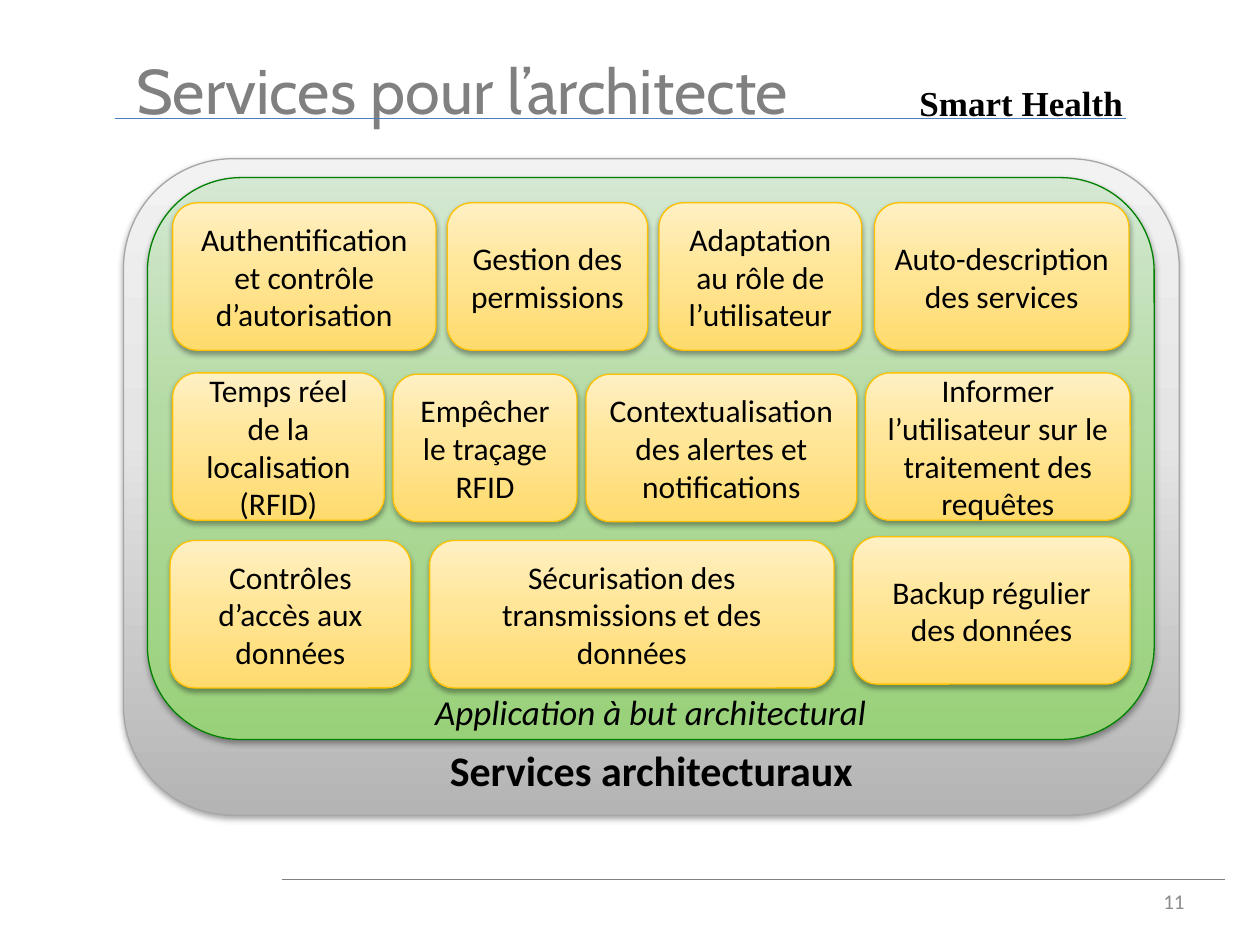
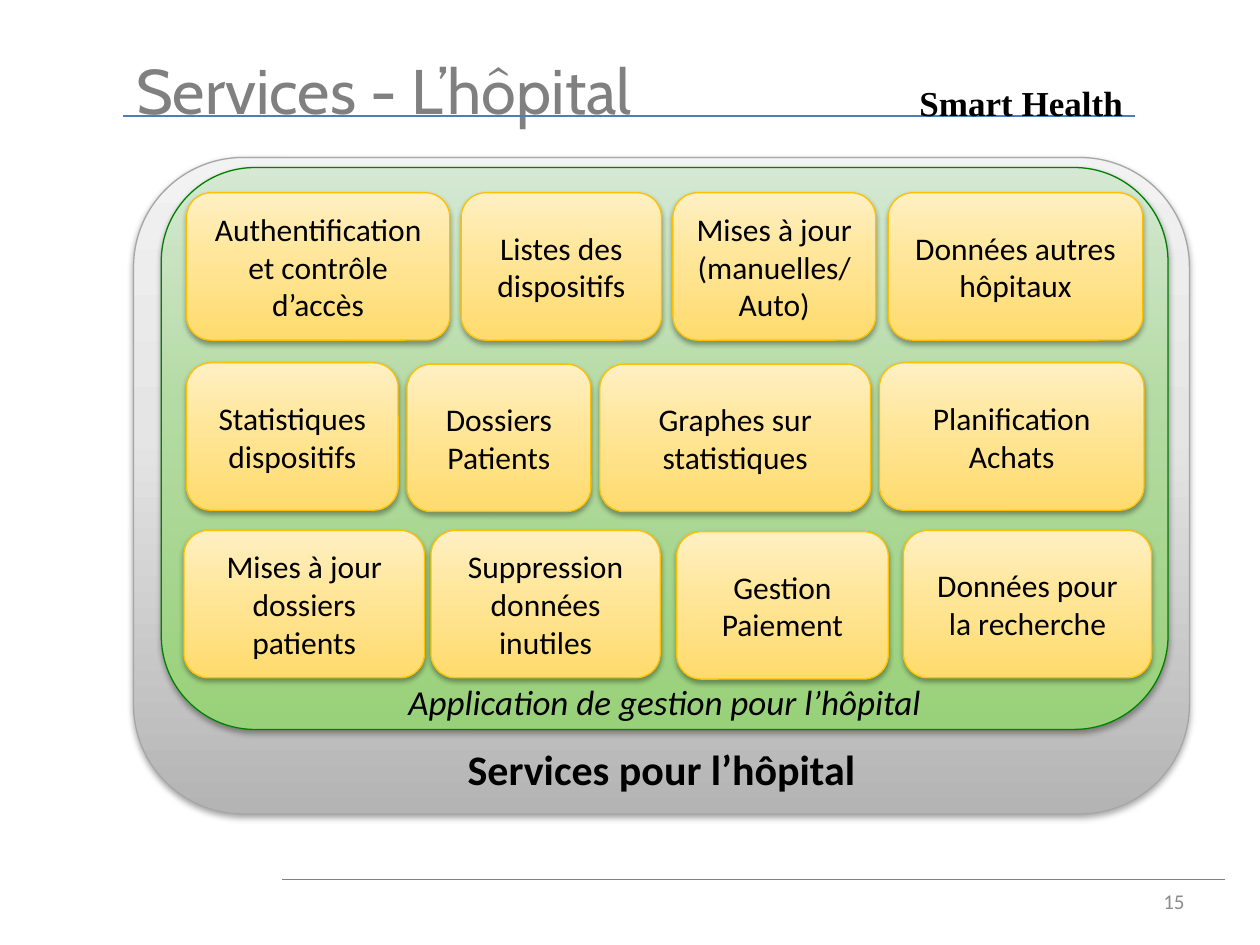
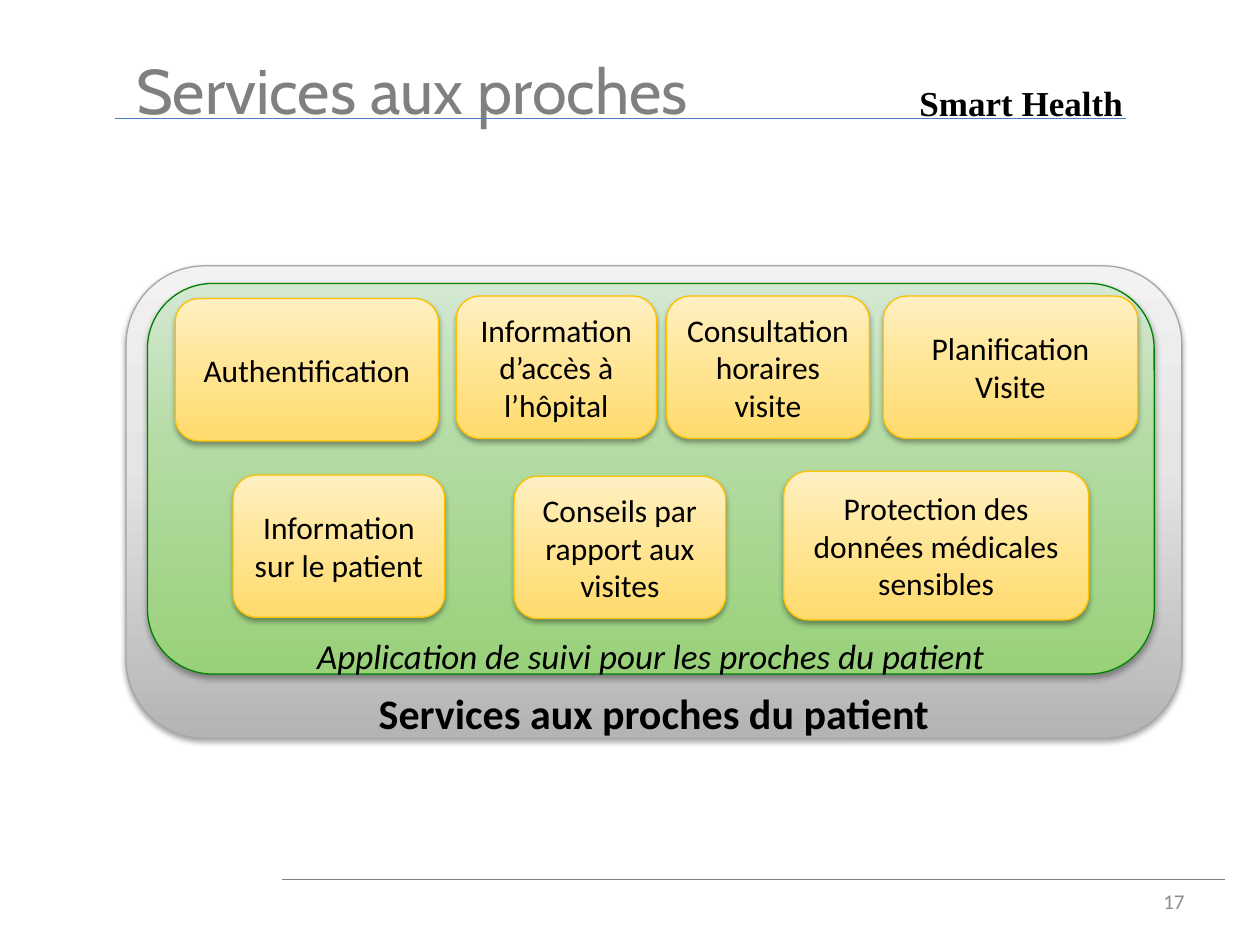
from copy import deepcopy

from lxml import etree
from pptx import Presentation
from pptx.dml.color import RGBColor
from pptx.enum import shapes as es, text as et
from pptx.oxml.ns import qn
from pptx.util import Inches, Pt

HUES = {"title": "808080", "rule": "4B7EBC", "foot": "808080",
        "page": "8C8C8C", "ink": "000000"}
SKINS = {  # gradient stops from top to bottom, then the outline
    "grey": ("F2F2F2", "E5E5E5", "B4B4B4", "A6A6A6"),
    "green": ("D4E8D3", "B4DBA3", "99D17A", "008000"),
    "gold": ("FFF0C4", "FFE69A", "FFDB6D", "FFC000"),
}
STOPS = (0, 0.42, 1)
LEFT, MID, RIGHT = et.PP_ALIGN.LEFT, et.PP_ALIGN.CENTER, et.PP_ALIGN.RIGHT
OUTER_W, INNER_W = 8.38, 7.99

# Card slots inside the green panel: left, top, width, height
CARD_H = 1.17
HIGH = [(0.2, 0.2, 2.09, CARD_H), (2.38, 0.2, 1.59, CARD_H),
        (4.06, 0.2, 1.61, CARD_H), (5.77, 0.2, 2.02, CARD_H)]
CORE = [(0.2, 1.55, 1.68, CARD_H), (1.95, 1.56, 1.46, CARD_H),
        (3.48, 1.56, 2.15, CARD_H), (5.7, 1.55, 2.1, CARD_H)]
THREE = [(0.18, 2.88, 1.91, CARD_H), (2.24, 2.88, 3.21, CARD_H),
         (5.6, 2.85, 2.2, CARD_H)]
FOUR = [(0.18, 2.88, 1.91, CARD_H), (2.14, 2.88, 1.82, CARD_H),
        (4.09, 2.89, 1.68, CARD_H), (5.89, 2.88, 1.97, CARD_H)]
KIN = [(0.22, 0.12, 2.09, 1.13), (2.45, 0.1, 1.59, 1.13),
       (4.12, 0.1, 1.61, 1.13), (5.84, 0.1, 2.02, 1.13),
       (0.68, 1.52, 1.68, 1.13), (2.91, 1.53, 1.68, 1.13),
       (5.05, 1.49, 2.42, 1.18)]

# outer, inner: left, top, height; notes: text, rise above the panel's foot, height
SLIDES = [
    dict(title="Services pour l’architecte", page="11", rule=(0.91, 0.94),
         outer=(0.98, 1.26, 5.21), inner=(1.17, 1.41, 4.46),
         name=("Services architecturaux", 0.61, 0.5),
         app=("Application à but architectural", 0.44, 0.44),
         slots=HIGH + CORE + THREE,
         cards=["Authentification et contrôle d’autorisation",
                "Gestion des permissions",
                "Adaptation au rôle de l’utilisateur",
                "Auto-description des services",
                "Temps réel de la localisation (RFID)",
                "Empêcher le traçage RFID",
                "Contextualisation des alertes et notifications",
                "Informer l’utilisateur sur le traitement des requêtes",
                "Contrôles d’accès aux données",
                "Sécurisation des transmissions et des données",
                "Backup régulier des données"]),
    dict(title="Services - L’hôpital", page="15", rule=(0.98, 0.92),
         outer=(1.06, 1.25, 5.21), inner=(1.28, 1.33, 4.46),
         name=("Services pour l’hôpital", 0.61, 0.5),
         app=("Application de gestion pour l’hôpital", 0.44, 0.44),
         slots=HIGH + CORE + FOUR,
         cards=["Authentification et contrôle d’accès",
                "Listes des dispositifs",
                "Mises à jour\n(manuelles/\nAuto)",
                "Données autres hôpitaux",
                "Statistiques dispositifs",
                "Dossiers Patients",
                "Graphes sur statistiques",
                "Planification Achats",
                "Mises à jour dossiers patients",
                "Suppression données inutiles",
                "Gestion Paiement",
                "Données pour la recherche"]),
    dict(title="Services aux proches", page="17", rule=(0.91, 0.94),
         outer=(1, 2.11, 3.75), inner=(1.17, 2.25, 3.1),
         name=("Services aux proches du patient", 0.45, 0.37),
         app=("Application de suivi pour les proches du patient", 0.36, 0.3),
         slots=KIN,
         cards=["Authentification",
                "Information d’accès à l’hôpital",
                "Consultation horaires visite",
                "Planification Visite",
                "Information sur le patient",
                "Conseils par rapport aux visites",
                "Protection des données médicales sensibles"]),
]


def inch(box):
    return [Inches(v) for v in box]


def write(shape, words, size, hue="ink", font="Calibri", align=MID,
          anchor=et.MSO_ANCHOR.TOP, bold=False, italic=False):
    frame = shape.text_frame
    frame.word_wrap = True
    frame.auto_size = et.MSO_AUTO_SIZE.NONE
    frame.vertical_anchor = anchor
    for i, line in enumerate(words.split("\n")):
        para = frame.add_paragraph() if i else frame.paragraphs[0]
        para.alignment = align
        run = para.add_run()
        run.text = line
        run.font.size, run.font.name = Pt(size), font
        run.font.bold, run.font.italic = bold, italic
        run.font.color.rgb = RGBColor.from_string(HUES[hue])


def label(slide, box, words, size, **style):
    write(slide.shapes.add_textbox(*inch(box)), words, size, **style)


def rule(slide, x, y, width, hue):
    line = slide.shapes.add_connector(
        es.MSO_CONNECTOR.STRAIGHT, *inch((x, y, x + width, y)))
    line.line.color.rgb = RGBColor.from_string(HUES[hue])
    line.line.width = Pt(0.75)
    etree.SubElement(line._element.spPr, qn("a:effectLst"))


def shade(shape):
    """Give the shape a soft shadow straight below it."""
    shape.shadow.inherit = False
    glow = shape._element.spPr.find(qn("a:effectLst"))
    drop = etree.SubElement(
        glow, qn("a:outerShdw"), blurRad=str(Pt(3.1)), dist=str(Pt(1.8)),
        dir="5400000", rotWithShape="0")
    tint = etree.SubElement(drop, qn("a:srgbClr"), val=HUES["ink"])
    etree.SubElement(tint, qn("a:alpha"), val="35000")


def block(slide, box, skin):
    """Add a rounded box with a vertical three-stop gradient."""
    shape = slide.shapes.add_shape(es.MSO_SHAPE.ROUNDED_RECTANGLE, *inch(box))
    *tones, edge = SKINS[skin]
    shape.fill.gradient()
    shape.fill.gradient_angle = 270
    stops = shape._element.spPr.find(".//" + qn("a:gsLst"))
    stops.append(deepcopy(stops[-1]))
    for stop, place, tone in zip(shape.fill.gradient_stops, STOPS, tones):
        stop.position = place
        stop.color.rgb = RGBColor.from_string(tone)
    shape.line.color.rgb = RGBColor.from_string(edge)
    shape.line.width = Pt(0.75)
    shade(shape)
    return shape


def frame(slide, title, page, start):
    """Place the title, its rule, the tag and the footer."""
    rule(slide, *start, 8.03, "rule")
    head = slide.shapes.title
    head.left, head.top, head.width, head.height = inch((0.98, 0.36, 5.83, 0.71))
    write(head, title, 36, hue="title", font="Cabin", align=LEFT)
    rule(slide, 2.24, 6.98, 7.48, "foot")
    label(slide, (7.17, 6.95, 2.33, 0.4), page, 12, hue="page", align=RIGHT,
          anchor=et.MSO_ANCHOR.MIDDLE)
    label(slide, (5.87, 0.6, 4.54, 0.44), "Smart Health ", 20,
          font="Times New Roman", bold=True)


def panel(slide, box, skin, note, size, **style):
    """Add a panel with a caption, centred on it, near its foot."""
    x, y, width, height = box
    words, rise, deep = note
    block(slide, box, skin)
    label(slide, (x + (width - 8.39) / 2, y + height - rise, 8.39, deep),
          words, size, **style)


def cards(slide, x, y, slots, texts):
    for (dx, dy, width, height), words in zip(slots, texts):
        card = block(slide, (x + dx, y + dy, width, height), "gold")
        write(card, words, 18, anchor=et.MSO_ANCHOR.MIDDLE)


def build(slide, data):
    frame(slide, data["title"], data["page"], data["rule"])
    x, y, height = data["outer"]
    panel(slide, (x, y, OUTER_W, height), "grey", data["name"], 24, bold=True)
    x, y, height = data["inner"]
    panel(slide, (x, y, INNER_W, height), "green", data["app"], 20, italic=True)
    cards(slide, x, y, data["slots"], data["cards"])


def main():
    deck = Presentation()
    deck.slide_width, deck.slide_height = Inches(10), Inches(7.5)
    for data in SLIDES:
        build(deck.slides.add_slide(deck.slide_layouts[5]), data)
    deck.save("out.pptx")


if __name__ == "__main__":
    main()
